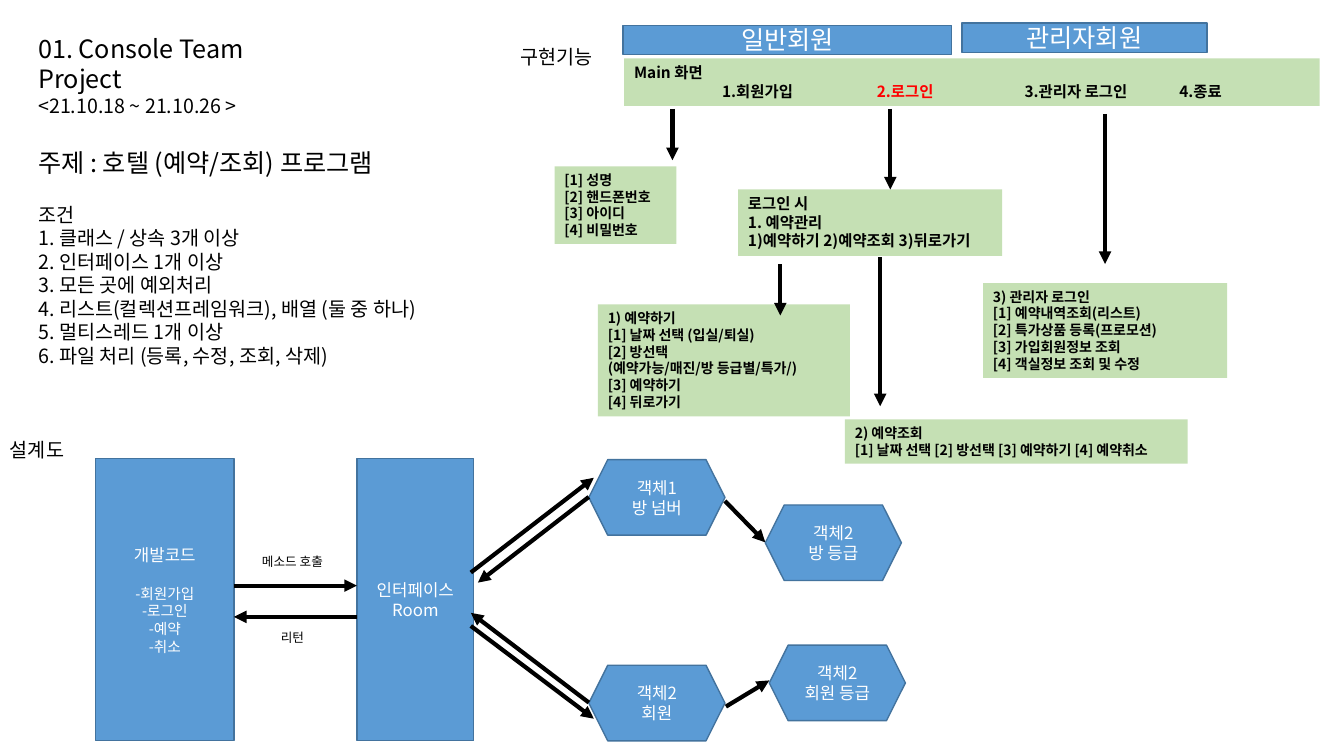
import pptx
import pptx.util
import pptx.dml.color
import pptx.enum.shapes
import pptx.enum.text
import pptx.oxml.ns
import lxml.etree

Inches = pptx.util.Inches
Pt = pptx.util.Pt
RGBColor = pptx.dml.color.RGBColor
Shape = pptx.enum.shapes.MSO_SHAPE
Align = pptx.enum.text.PP_ALIGN
Anchor = pptx.enum.text.MSO_ANCHOR
qn = pptx.oxml.ns.qn

FONT = "Noto Sans CJK KR"
BLACK = RGBColor(0, 0, 0)
WHITE = RGBColor(255, 255, 255)
RED = RGBColor(255, 0, 0)
BLUE = RGBColor(0x5B, 0x9B, 0xD5)
NAVY = RGBColor(0x43, 0x73, 0x9E)
GREEN = RGBColor(0xC5, 0xE0, 0xB4)

TITLE = ["01. Console Team Project", "<21.10.18 ~ 21.10.26 >"]
TOPIC = ["주제 : 호텔 (예약/조회) 프로그램"]
RULES = [
    "조건",
    "1. 클래스 / 상속 3개 이상",
    "2. 인터페이스 1개 이상",
    "3. 모든 곳에 예외처리",
    "4. 리스트(컬렉션프레임워크), 배열 (둘 중 하나)",
    "5. 멀티스레드 1개 이상",
    "6. 파일 처리 (등록, 수정, 조회, 삭제)",
]
LOGIN = ["로그인 시", "1. 예약관리", "1)예약하기 2)예약조회 3)뒤로가기"]
BOOK = ["1) 예약하기", "[1] 날짜 선택 (입실/퇴실)", "[2] 방선택",
        "(예약가능/매진/방 등급별/특가/)", "[3] 예약하기", "[4] 뒤로가기"]
CHECK = ["2) 예약조회", "[1] 날짜 선택 [2] 방선택 [3] 예약하기 [4] 예약취소"]
ADMIN = ["3) 관리자 로그인", "[1] 예약내역조회(리스트) ", "[2] 특가상품 등록(프로모션)",
         "[3] 가입회원정보 조회", "[4] 객실정보 조회 및 수정"]
JOIN = ["[1] 성명", "[2] 핸드폰번호", "[3] 아이디", "[4] 비밀번호"]
CODE = ["개발코드", "-회원가입", "-로그인", "-예약", "-취소"]

HEXES = [
    (5.84, 4.56, ["객체1", "방 넘버"]),
    (7.59, 5.01, ["객체2", "방 등급"]),
    (5.84, 6.6, ["객체2", "회원"]),
    (7.63, 6.4, ["객체2", "회원 등급"]),
]
ARROWS = [
    (2.32, 5.81, 3.54, 5.81),
    (3.54, 6.12, 2.32, 6.12),
    (5.84, 6.97, 4.67, 6.08),
    (5.84, 4.93, 4.74, 5.78),
    (7.19, 4.97, 7.59, 5.38),
    (4.67, 6.21, 5.89, 7.13),
    (4.67, 5.68, 5.89, 4.74),
    (7.2, 7.01, 7.63, 6.75),
    (8.83, 1.08, 8.83, 1.88),
    (8.73, 2.55, 8.73, 4.03),
    (7.74, 2.62, 7.74, 3.13),
    (10.96, 1.13, 10.96, 2.62),
    (6.67, 1.08, 6.67, 1.59),
]


def style(para, size, color=BLACK, bold=False, align=Align.LEFT):
    para.alignment = align
    para.space_before = Pt(0)
    para.font.size = Pt(size)
    para.font.bold = bold
    para.font.color.rgb = color
    para.font.name = FONT
    props = para._p.find(".//" + qn("a:defRPr"))
    lxml.etree.SubElement(props, qn("a:ea")).set("typeface", FONT)


def write(shape, lines, size, color=BLACK, bold=False, align=Align.LEFT,
          anchor=Anchor.TOP):
    frame = shape.text_frame
    frame.word_wrap = True
    frame.auto_size = pptx.enum.text.MSO_AUTO_SIZE.NONE
    frame.vertical_anchor = anchor
    frame.text = "\n".join(lines)
    for para in frame.paragraphs:
        style(para, size, color, bold, align)
    return frame.paragraphs


def place(shape, box):
    shape.left, shape.top, shape.width, shape.height = map(Inches, box)


def label(slide, box, lines, size, align=Align.LEFT):
    shape = slide.shapes.add_textbox(*map(Inches, box))
    write(shape, lines, size, align=align)


def block(slide, kind, box, fill):
    shape = slide.shapes.add_shape(kind, *map(Inches, box))
    shape.shadow.inherit = False
    shape.fill.solid()
    shape.fill.fore_color.rgb = fill
    return shape


def node(slide, box, lines, size=12, kind=Shape.RECTANGLE):
    shape = block(slide, kind, box, BLUE)
    shape.line.color.rgb = NAVY
    shape.line.width = Pt(1)
    return write(shape, lines, size, WHITE, align=Align.CENTER,
                 anchor=Anchor.MIDDLE)


def panel(slide, box, lines, size=10):
    shape = block(slide, Shape.RECTANGLE, box, GREEN)
    shape.line.fill.background()
    return write(shape, lines, size, bold=True)


def arrow(slide, ends):
    line = slide.shapes.add_connector(
        pptx.enum.shapes.MSO_CONNECTOR.STRAIGHT, *map(Inches, ends))
    line.line.color.rgb = BLACK
    line.line.width = Pt(3)
    tip = lxml.etree.SubElement(line.line._get_or_add_ln(), qn("a:tailEnd"))
    tip.set("type", "triangle")
    lxml.etree.SubElement(line._element.spPr, qn("a:effectLst"))


def head(slide):
    title, body = slide.placeholders
    place(title, (0.28, 0.28, 3.09, 1.1))
    write(title, TITLE, 18)[1].font.size = Pt(14)
    place(body, (0.28, 1.96, 6.75, 1.75))
    for para in write(body, RULES, 14):
        props = para._p.pPr
        props.set("marL", "0")
        props.set("indent", "0")
        props.find(qn("a:defRPr")).addprevious(
            lxml.etree.Element(qn("a:buNone")))
    label(slide, (0.28, 1.41, 3.9, 0.7), TOPIC, 18)


def menu(slide):
    label(slide, (5.06, 0.4, 1.1, 0.34), ["구현기능"], 14)
    node(slide, (6.18, 0.25, 3.26, 0.29), ["일반회원"], 18)
    node(slide, (9.54, 0.23, 2.43, 0.29), ["관리자회원"], 18)
    row = panel(slide, (6.19, 0.58, 6.9, 0.47), ["Main 화면", ""], 11)[1]
    row.alignment = Align.CENTER
    row.add_run().text = "1.회원가입\t\t "
    login = row.add_run()
    login.text = "2.로그인 "
    login.font.color.rgb = RED
    row.add_run().text = "\t\t3.관리자 로그인\t 4.종료"
    panel(slide, (7.32, 1.88, 2.62, 0.66), LOGIN, 11)
    panel(slide, (8.38, 4.16, 3.4, 0.44), CHECK)
    panel(slide, (5.93, 3.02, 2.5, 1.11), BOOK)
    panel(slide, (9.75, 2.81, 2.42, 0.94), ADMIN)
    panel(slide, (5.5, 1.65, 1.21, 0.77), JOIN)


def design(slide):
    label(slide, (0, 4.3, 2, 0.34), ["설계도"], 14)
    items = node(slide, (0.95, 4.55, 1.37, 2.8), CODE)[1:]
    for item in items:
        item.font.size = Pt(10.5)
    items[0].space_before = Pt(14.4)
    node(slide, (3.54, 4.55, 1.16, 2.8), ["인터페이스", "Room"])
    label(slide, (2.21, 5.45, 1.38, 0.25), ["메소드 호출"], 9, Align.CENTER)
    label(slide, (2.21, 6.2, 1.38, 0.25), ["리턴"], 9, Align.CENTER)
    for left, top, lines in HEXES:
        node(slide, (left, top, 1.35, 0.75), lines, kind=Shape.HEXAGON)


def main():
    deck = pptx.Presentation()
    deck.slide_width = Inches(13.33)
    deck.slide_height = Inches(7.5)
    slide = deck.slides.add_slide(deck.slide_layouts[1])
    head(slide)
    menu(slide)
    design(slide)
    for ends in ARROWS:
        arrow(slide, ends)
    deck.save("out.pptx")


main()
